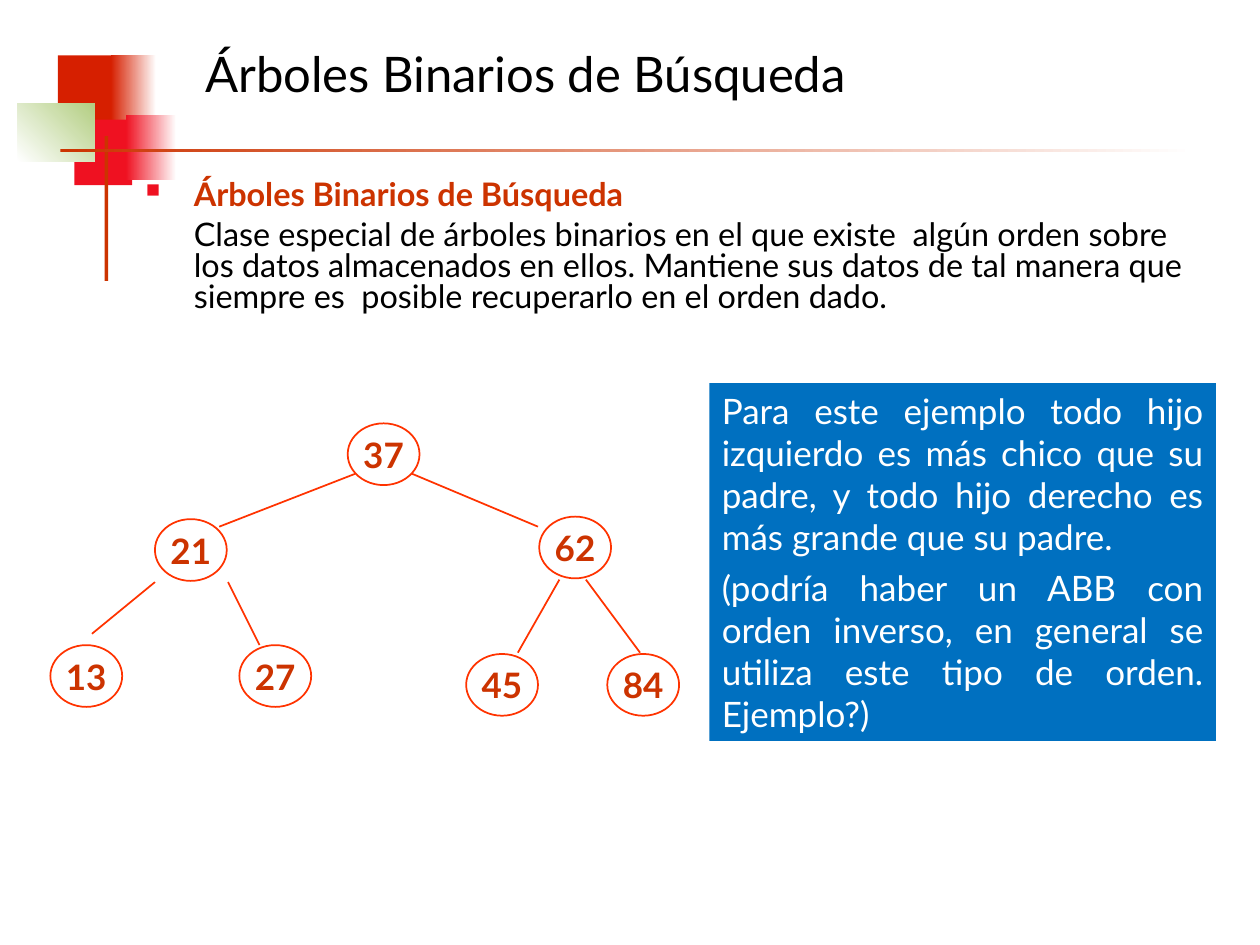
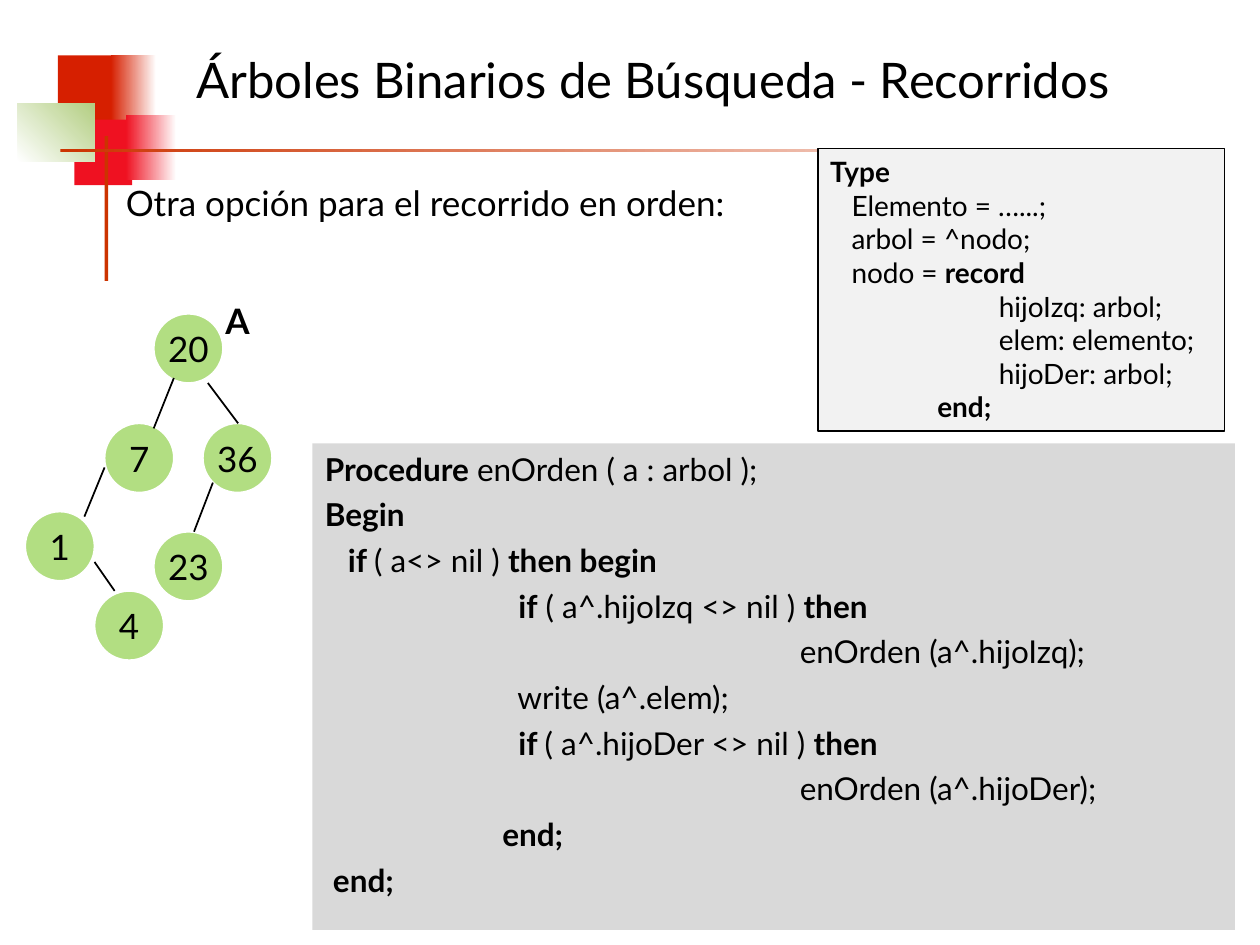
from dataclasses import dataclass

from lxml.etree import SubElement
from pptx import Presentation
from pptx.dml.color import RGBColor
from pptx.enum.shapes import MSO_CONNECTOR, MSO_SHAPE
from pptx.enum.text import MSO_ANCHOR, MSO_AUTO_SIZE, PP_ALIGN
from pptx.oxml.ns import qn
from pptx.util import Inches, Pt


@dataclass(frozen=True)
class Theme:
    font: str = "Lato"
    black: str = "000000"
    white: str = "FFFFFF"
    brick: str = "CC3300"
    flame: str = "FF3300"
    red: str = "D61F00"
    rose: str = "EF1121"
    moss: str = "B3CE82"
    leaf: str = "B2DE82"
    blue: str = "0070C0"
    gray: str = "D9D9D9"
    pale: str = "F2F2F2"
    head: float = 28
    text: float = 20
    body: float = 18.5
    code: float = 18
    small: float = 16


T = Theme()


def rgb(color):
    return RGBColor.from_string(color)


def inches(box):
    return [Inches(n) for n in box]


# Basic parts
def shape(slide, kind, box, fill, line=None):
    item = slide.shapes.add_shape(kind, *inches(box))
    item.shadow.inherit = False
    if isinstance(fill, tuple):
        first, last, angle = fill
        item.fill.gradient()
        item.fill.gradient_angle = angle
        for stop, color in zip(item.fill.gradient_stops, (first, last)):
            stop.color.rgb = rgb(color)
    else:
        item.fill.solid()
        item.fill.fore_color.rgb = rgb(fill)
    if line:
        item.line.color.rgb = rgb(line)
        item.line.width = Pt(1)
    else:
        item.line.fill.background()
    return item


def link(slide, ends, color):
    item = slide.shapes.add_connector(MSO_CONNECTOR.STRAIGHT, *inches(ends))
    item.line.color.rgb = rgb(color)
    item.line.width = Pt(1)
    SubElement(item._element.spPr, qn("a:effectLst"))


def write(item, lines, size, color=T.black, gap=0, align=PP_ALIGN.LEFT,
          anchor=MSO_ANCHOR.TOP, wrap=True):
    """Fill a shape with lines; words between asterisks are bold."""
    frame = item.text_frame
    frame.auto_size = MSO_AUTO_SIZE.NONE
    frame.word_wrap = wrap
    frame.vertical_anchor = anchor
    for i, line in enumerate(lines):
        par = frame.paragraphs[0] if i == 0 else frame.add_paragraph()
        par.alignment = align
        par.space_before = Pt(gap if i else 0)
        for j, part in enumerate(line.split("*")):
            if part:
                run = par.add_run()
                run.text = part
                run.font.name = T.font
                run.font.size = Pt(size)
                run.font.bold = j % 2 == 1
                run.font.color.rgb = rgb(color)
    return frame.paragraphs


def label(slide, box, lines, size, **style):
    item = slide.shapes.add_textbox(*inches(box))
    return write(item, lines, size, **style)


# Shared corner blocks and rules
def decor(slide, box):
    left, top = box
    parts = [
        (0.32, 0, 0.48, 0.52, T.red),
        (0.74, 0, 0.36, 0.52, (T.red, T.white, 0)),
        (0.45, 0.51, 0.46, 0.52, T.rose),
        (0.86, 0.47, 0.4, 0.52, (T.rose, T.white, 0)),
        (0, 0.38, 0.61, 0.46, (T.white, T.moss, 45)),
        (0.69, 0.64, 0.03, 1.15, T.brick),
        (0.34, 0.74, 9, 0.03, (T.brick, T.white, 0)),
    ]
    for x, y, wide, high, fill in parts:
        shape(slide, MSO_SHAPE.RECTANGLE, (left + x, top + y, wide, high), fill)


def start(deck, text, box):
    slide = deck.slides.add_slide(deck.slide_layouts[5])
    decor(slide, (0.14, 0.44))
    title = slide.shapes.title
    title.left, title.top, title.width, title.height = inches(box)
    write(title, [text], T.head, anchor=MSO_ANCHOR.MIDDLE)
    return slide


# Binary tree: nodes and edges are placed from the corner of the tree
def tree(slide, spot, size, nodes, edges, fill, line, ink, edge, bold=False):
    left, top = spot
    for value, (x, y) in nodes.items():
        node = shape(slide, MSO_SHAPE.OVAL, (left + x, top + y, *size), fill, line)
        write(node, [f"*{value}*" if bold else str(value)], T.text, ink,
              align=PP_ALIGN.CENTER, anchor=MSO_ANCHOR.MIDDLE, wrap=False)
    for x1, y1, x2, y2 in edges:
        link(slide, (left + x1, top + y1, left + x2, top + y2), edge)


# Heading with a square bullet, then its definition
def define(slide, box):
    head, text = label(slide, box, [
        "*Árboles Binarios de Búsqueda*",
        "Clase especial de árboles binarios en el que existe  algún orden sobre "
        "los datos almacenados en ellos. Mantiene sus datos de tal manera que "
        "siempre es  posible recuperarlo en el orden dado.",
    ], T.body, gap=5)
    head.runs[0].font.color.rgb = rgb(T.brick)
    for par, indent in ((head, -0.38), (text, 0)):
        par.line_spacing = 0.8
        props = par._p.get_or_add_pPr()
        props.set("marL", str(Inches(0.38)))
        props.set("indent", str(Inches(indent)))
    props = head._p.pPr
    tint = SubElement(props, qn("a:buClr"))
    SubElement(tint, qn("a:srgbClr"), val=T.rose)
    SubElement(props, qn("a:buSzPct"), val="60000")
    SubElement(props, qn("a:buChar"), char="■")


def note(slide, box):
    item = shape(slide, MSO_SHAPE.RECTANGLE, box, T.blue)
    write(item, [
        "Para este ejemplo todo hijo izquierdo es más chico que su padre, "
        "y todo hijo derecho es más grande que su padre.",
        "(podría haber un ABB con orden inverso, en general se utiliza este "
        "tipo de orden. Ejemplo?)",
    ], T.text, T.white, gap=5, align=PP_ALIGN.JUSTIFY)


# Code panels
def types(slide, box):
    item = shape(slide, MSO_SHAPE.RECTANGLE, box, T.pale, T.black)
    pars = write(item, [
        "*Type*",
        "   Elemento = …...;",
        "   arbol = ^nodo;",
        "   nodo = *record*",
        "\t      hijoIzq: arbol;",
        "\t      elem: elemento;",
        "\t      hijoDer: arbol;",
        "               *end;*",
    ], T.small)
    for par in pars:
        tabs = SubElement(par._p.get_or_add_pPr(), qn("a:tabLst"))
        SubElement(tabs, qn("a:tab"), pos=str(Inches(1)), algn="l")


def routine(slide, box):
    item = shape(slide, MSO_SHAPE.RECTANGLE, box, T.gray)
    write(item, [
        "*Procedure* enOrden ( a : arbol );",
        "*Begin*",
        "*   if *( a<> nil ) *then begin*",
        "                        *if* ( a^.hijoIzq <> nil ) *then*",
        "                                                           enOrden (a^.hijoIzq);",
        "                        write (a^.elem);",
        "                        *if *( a^.hijoDer <> nil ) *then*",
        "                                                           enOrden (a^.hijoDer);",
        "                      *end;*",
        " *end;*",
    ], T.code, gap=4.5)


def search(deck):
    slide = start(deck, "Árboles Binarios de Búsqueda", (1.53, 0.08, 7.64, 1))
    define(slide, (1.06, 1.39, 8.51, 1.48))
    nodes = {37: (2.36, 0), 62: (3.88, 0.74), 21: (0.83, 0.76), 13: (0, 1.76),
             27: (1.5, 1.76), 45: (3.3, 1.83), 84: (4.42, 1.83)}
    edges = [(2.42, 0.4, 1.34, 0.82), (2.87, 0.4, 3.87, 0.82),
             (0.83, 1.26, 0.33, 1.67), (1.41, 1.26, 1.66, 1.76),
             (4.04, 1.24, 3.71, 1.82), (4.25, 1.24, 4.68, 1.82)]
    tree(slide, (0.4, 3.36), (0.57, 0.49), nodes, edges,
         T.white, T.flame, T.brick, T.flame, bold=True)
    note(slide, (5.63, 3.04, 4.02, 2.84))


def walk(deck):
    slide = start(deck, "Árboles Binarios de Búsqueda - Recorridos",
                  (1.46, 0.13, 8.11, 1))
    routine(slide, (2.48, 3.52, 7.32, 3.86))
    label(slide, (0.9, 1.39, 6.93, 0.44),
          ["Otra opción para el recorrido en orden:"], T.text)
    nodes = {20: (1.02, 0), 7: (0.63, 0.87), 36: (1.41, 0.87),
             1: (0, 1.57), 4: (0.55, 2.2), 23: (1.02, 1.73)}
    edges = [(1.18, 0.51, 1.02, 0.91), (1.45, 0.55, 1.69, 0.87),
             (0.63, 1.22, 0.47, 1.61), (0.55, 1.97, 0.71, 2.2),
             (1.49, 1.34, 1.34, 1.73)]
    tree(slide, (0.2, 2.49), (0.55, 0.55), nodes, edges,
         T.leaf, T.white, T.black, T.black)
    label(slide, (1.69, 2.33, 0.39, 0.44), ["*A*"], T.text)
    types(slide, (6.49, 1.18, 3.23, 2.24))


def main():
    deck = Presentation()
    deck.slide_width, deck.slide_height = Inches(10), Inches(7.5)
    search(deck)
    walk(deck)
    deck.save("out.pptx")


if __name__ == "__main__":
    main()
